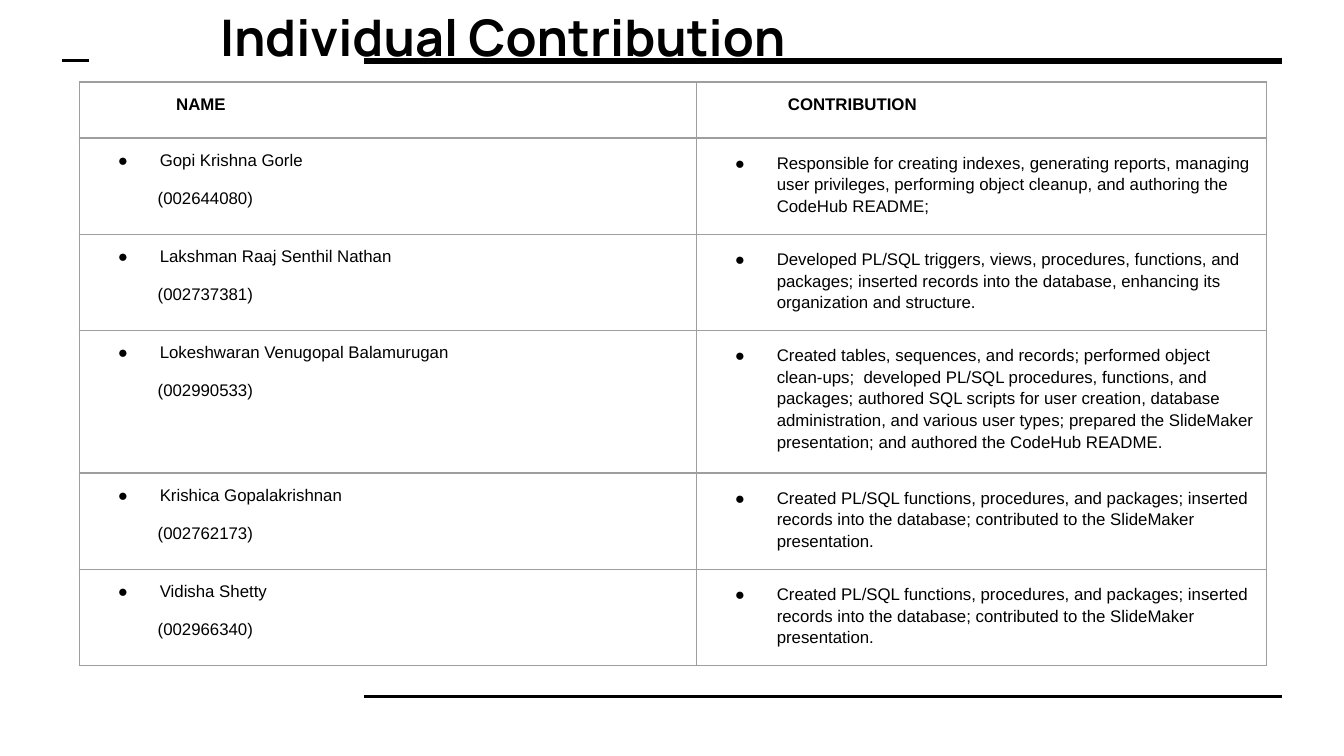
from lxml import etree
from pptx import Presentation
from pptx.dml.color import RGBColor
from pptx.enum.shapes import MSO_CONNECTOR
from pptx.enum.text import MSO_ANCHOR
from pptx.oxml.ns import qn
from pptx.util import Cm, Pt

LINE = MSO_CONNECTOR.STRAIGHT
MIDDLE = MSO_ANCHOR.MIDDLE
TOP = MSO_ANCHOR.TOP
BLACK = RGBColor(0, 0, 0)
GREY = RGBColor(0x9E, 0x9E, 0x9E)

PAD = Cm(0.25)
INSETS = {"margin_left": PAD, "margin_right": PAD,
          "margin_top": PAD, "margin_bottom": PAD}
TITLE = {"name": "Manrope", "size": Pt(27), "bold": True}
HEAD = {"name": "Arial", "size": Pt(9), "bold": True}
BODY = {"name": "Arial", "size": Pt(9), "bold": False}

HEADS = [("NAME", Cm(1.58)), ("CONTRIBUTION", Cm(1.48))]
SHARED = ("Created PL/SQL functions, procedures, and packages; inserted records "
          "into the database; contributed to the SlideMaker presentation.")
TEAM = [
    ("Gopi Krishna Gorle", "(002644080)",
     "Responsible for creating indexes, generating reports, managing user "
     "privileges, performing object cleanup, and authoring the CodeHub README;"),
    ("Lakshman Raaj Senthil Nathan", "(002737381)",
     "Developed PL/SQL triggers, views, procedures, functions, and packages; "
     "inserted records into the database, enhancing its organization and structure."),
    ("Lokeshwaran Venugopal Balamurugan", "(002990533)",
     "Created tables, sequences, and records; performed object clean-ups;  "
     "developed PL/SQL procedures, functions, and packages; authored SQL scripts "
     "for user creation, database administration, and various user types; prepared "
     "the SlideMaker presentation; and authored the CodeHub README."),
    ("Krishica Gopalakrishnan", "(002762173)", SHARED),
    ("Vidisha Shetty", "(002966340)", SHARED),
]
COLS = [Cm(11.66), Cm(10.77)]
ROWS = [Cm(h) for h in (1.06, 1.73, 1.73, 2.55, 1.73, 1.73)]


def apply(item, values):
    for key, value in values.items():
        setattr(item, key, value)


def write(para, text, font):
    run = para.add_run()
    run.text = text
    apply(run.font, font)
    run.font.color.rgb = BLACK


def indent(para, left, first=0):
    props = para._p.get_or_add_pPr()
    props.set("marL", str(left))
    props.set("indent", str(first))
    return props


def bullet(para):
    props = indent(para, Cm(1.27), Cm(-0.79))
    tint = etree.SubElement(props, qn("a:buClr"))
    etree.SubElement(tint, qn("a:srgbClr"), val=str(BLACK))
    etree.SubElement(props, qn("a:buFont"), typeface="Arial")
    etree.SubElement(props, qn("a:buChar"), char="●")


def border(cell):
    props = cell._tc.get_or_add_tcPr()
    for i, side in enumerate(("lnL", "lnR", "lnT", "lnB")):
        edge = etree.Element(qn("a:" + side), w=str(Pt(0.75)))
        fill = etree.SubElement(edge, qn("a:solidFill"))
        etree.SubElement(fill, qn("a:srgbClr"), val=str(GREY))
        props.insert(i, edge)


def add_rule(slide, left, top, width, weight):
    rule = slide.shapes.add_connector(LINE, left, top, left + width, top)
    rule.line.color.rgb = BLACK
    rule.line.width = weight
    etree.SubElement(rule._element.spPr, qn("a:effectLst"))


def add_title(slide, left, top, width, height):
    frame = slide.shapes.add_textbox(left, top, width, height).text_frame
    apply(frame, {**INSETS, "word_wrap": True, "vertical_anchor": MIDDLE})
    write(frame.paragraphs[0], "Individual Contribution", TITLE)


def add_team(slide, left, top):
    grid = slide.shapes.add_table(len(ROWS), len(COLS), left, top,
                                  sum(COLS), sum(ROWS)).table
    apply(grid, {"first_row": False, "horz_banding": False})
    for col, width in zip(grid.columns, COLS):
        col.width = width
    for row, height in zip(grid.rows, ROWS):
        row.height = height
    for cell in grid.iter_cells():
        apply(cell, {**INSETS, "vertical_anchor": TOP})
        cell.fill.background()
        border(cell)

    # Header row
    for i, (text, left_in) in enumerate(HEADS):
        para = grid.cell(0, i).text_frame.paragraphs[0]
        indent(para, left_in)
        write(para, text, HEAD)

    # One row per member
    for i, (name, code, work) in enumerate(TEAM, 1):
        frame = grid.cell(i, 0).text_frame
        bullet(frame.paragraphs[0])
        write(frame.paragraphs[0], name, BODY)
        para = frame.add_paragraph()
        para.space_before = Pt(10)
        indent(para, Cm(1.23))
        write(para, code, BODY)
        para = grid.cell(i, 1).text_frame.paragraphs[0]
        para.line_spacing = 1.15
        bullet(para)
        write(para, work, BODY)


def main():
    deck = Presentation()
    deck.slide_width, deck.slide_height = Cm(25.4), Cm(14.29)
    slide = deck.slides.add_slide(deck.slide_layouts[6])

    # Rules above and below the table
    add_rule(slide, Cm(6.88), Cm(1.15), Cm(17.35), Pt(3))
    add_rule(slide, Cm(6.88), Cm(13.16), Cm(17.35), Pt(1.5))
    add_rule(slide, Cm(1.18), Cm(1.15), Cm(0.51), Pt(1.5))

    add_title(slide, Cm(3.91), Cm(-0.18), Cm(17.55), Cm(1.75))
    add_team(slide, Cm(1.5), Cm(1.55))
    deck.save("out.pptx")


if __name__ == "__main__":
    main()
